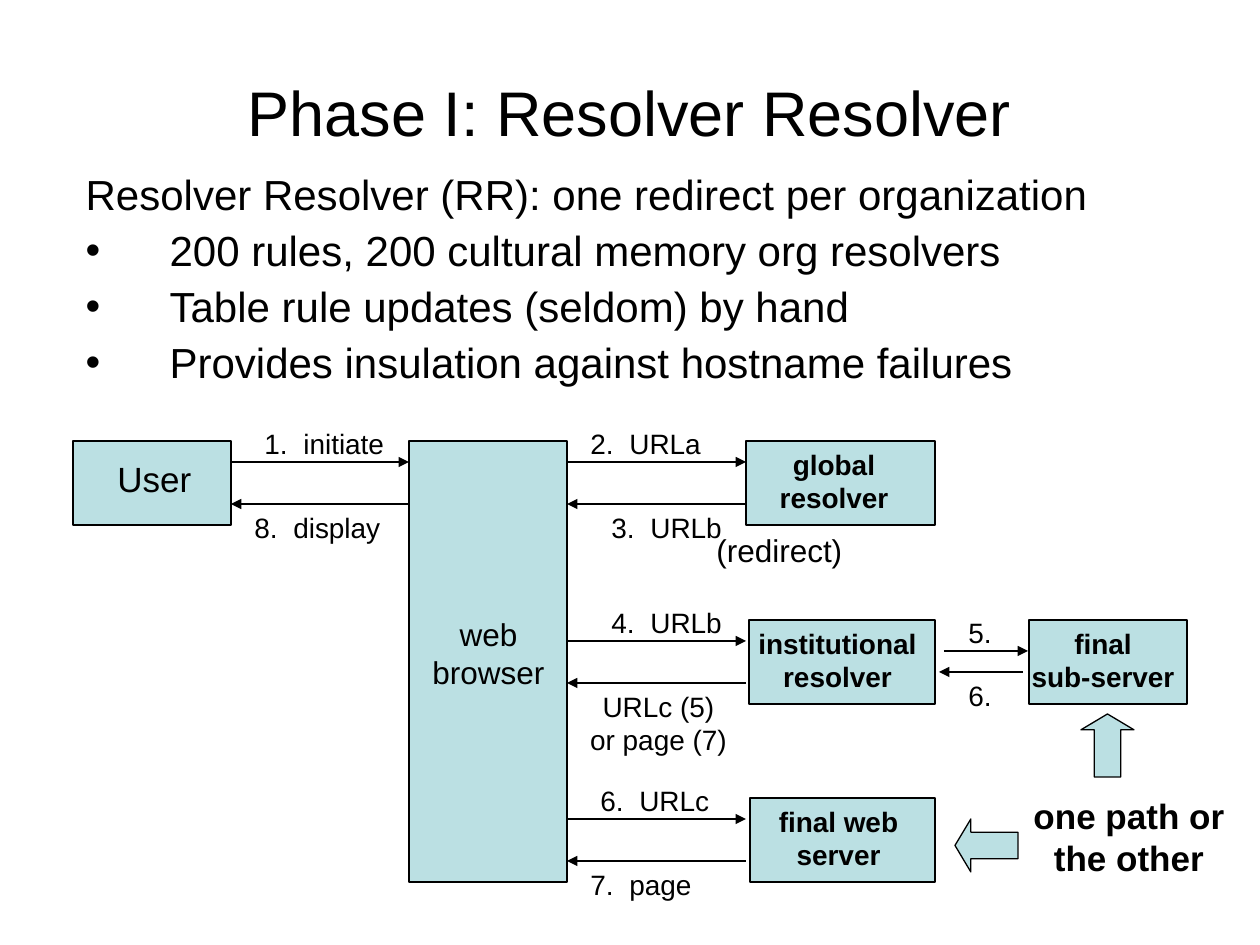
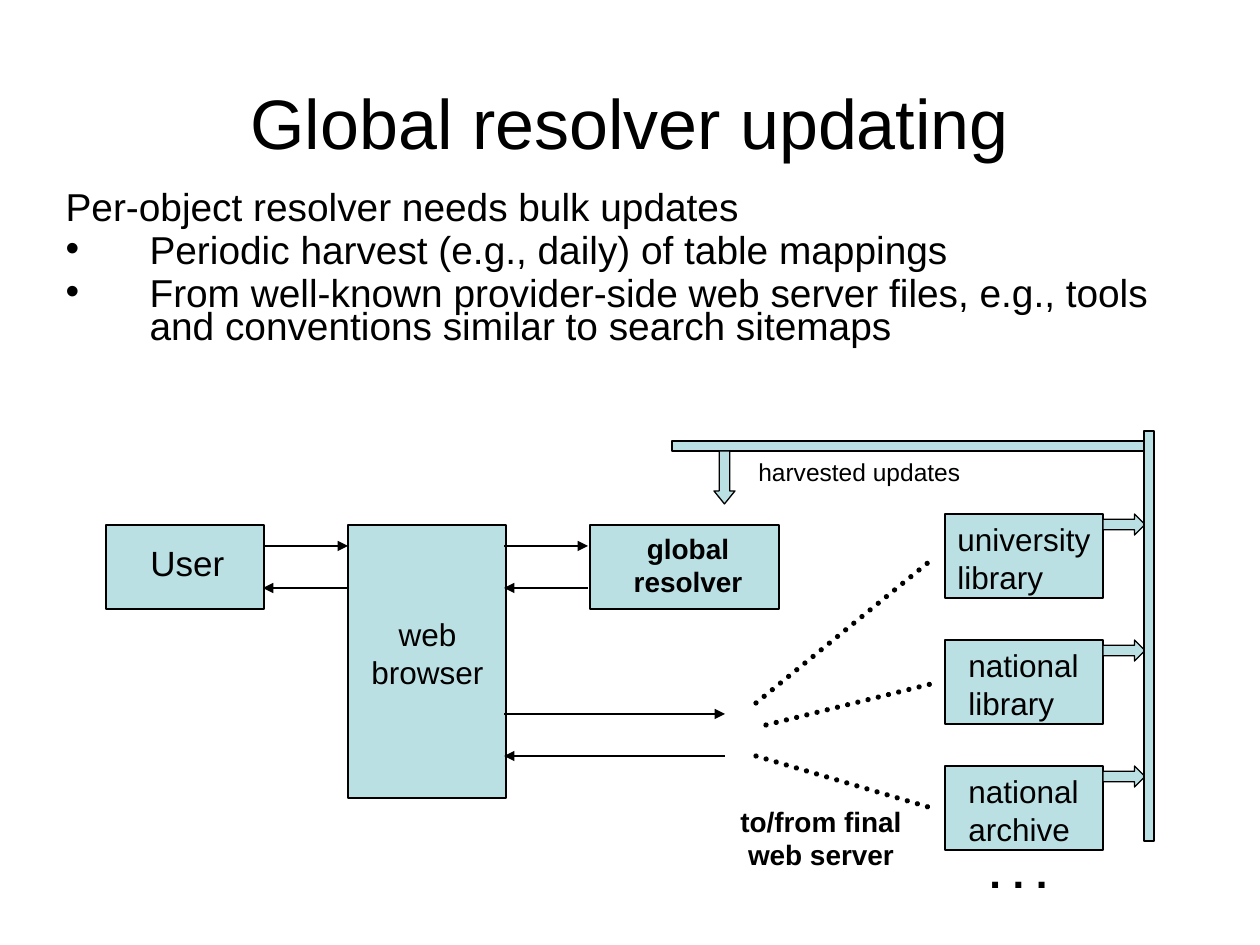
from dataclasses import dataclass
from typing import NamedTuple

from lxml.etree import SubElement
from pptx import Presentation
from pptx.dml.color import RGBColor
from pptx.enum.dml import MSO_LINE
from pptx.enum.shapes import MSO_CONNECTOR, MSO_SHAPE
from pptx.enum.text import MSO_ANCHOR, MSO_AUTO_SIZE, PP_ALIGN
from pptx.oxml.ns import qn
from pptx.util import Emu, Pt


@dataclass(frozen=True)
class Theme:
    font: str = "Arial"
    ink: RGBColor = RGBColor(0x00, 0x00, 0x00)
    fill: RGBColor = RGBColor(0xBB, 0xE0, 0xE3)
    small: float = 14
    label: float = 16
    name: float = 18
    strong: float = 20
    dots: float = 24
    thin: float = 0.75
    thick: float = 3


class Area(NamedTuple):
    left: int
    top: int
    width: int
    height: int


class Heading(NamedTuple):
    text: str
    area: Area
    size: float


class Listing(NamedTuple):
    lines: list[str]
    area: Area
    size: float
    spacing: float


class Block(NamedTuple):
    area: Area
    shape: MSO_SHAPE = MSO_SHAPE.RECTANGLE
    head: float | None = None


class Label(NamedTuple):
    text: str
    area: Area
    size: float
    bold: bool = False
    centered: bool = False
    wrap: bool = False


class Line(NamedTuple):
    start: tuple[int, int]
    end: tuple[int, int]
    dotted: bool = False


THEME = Theme()
PX = 914400 / 126
HANGING = 84
NUMBER_WIDTH = 39
ROW_HEIGHT = 47
REPLY_GAP = 42
BOX_HEIGHT = 84


def px(length: int) -> Emu:
    return Emu(round(length * PX))


def place(shape, area: Area) -> None:
    shape.left, shape.top, shape.width, shape.height = map(px, area)


def write(frame, text: str, *, size: float, bold: bool = False, align=PP_ALIGN.LEFT,
          spacing: float | None = None, before: float = 0, bullets: bool = False) -> None:
    frame.auto_size = MSO_AUTO_SIZE.NONE
    for index, line in enumerate(text.split("\n")):
        para = frame.paragraphs[0] if index == 0 else frame.add_paragraph()
        para.alignment = align
        para.space_before = Pt(before if index else 0)
        if spacing:
            para.line_spacing = spacing
        if bullets:
            add_bullet(para, visible=index > 0)
        if "\t" in line:
            tabs = SubElement(para._p.get_or_add_pPr(), qn("a:tabLst"))
            SubElement(tabs, qn("a:tab"), pos=str(px(NUMBER_WIDTH)), algn="l")
        span = para.add_run()
        span.text = line
        span.font.name = THEME.font
        span.font.size = Pt(size)
        span.font.bold = bold
        span.font.color.rgb = THEME.ink


def add_bullet(para, visible: bool) -> None:
    properties = para._p.get_or_add_pPr()
    properties.set("marL", str(px(HANGING)))
    properties.set("indent", str(-px(HANGING)))
    if not visible:
        SubElement(properties, qn("a:buNone"))
        return
    color = SubElement(properties, qn("a:buClr"))
    SubElement(color, qn("a:srgbClr"), val=str(THEME.ink))
    SubElement(properties, qn("a:buFont"), typeface=THEME.font)
    SubElement(properties, qn("a:buChar"), char="•")


def draw_block(page, block: Block) -> None:
    box = page.shapes.add_shape(block.shape, *map(px, block.area))
    box.shadow.inherit = False
    box.fill.solid()
    box.fill.fore_color.rgb = THEME.fill
    box.line.color.rgb = THEME.ink
    box.line.width = Pt(THEME.thin)
    if block.head is not None:
        box.adjustments[0] = 0.5
        box.adjustments[1] = block.head


def draw_label(page, label: Label) -> None:
    box = page.shapes.add_textbox(*map(px, label.area))
    frame = box.text_frame
    frame.word_wrap = label.wrap or not label.centered
    if not label.centered:
        frame.margin_right = 0
    align = PP_ALIGN.CENTER if label.centered else PP_ALIGN.LEFT
    write(frame, label.text, size=label.size, bold=label.bold, align=align)


def draw_line(page, line: Line) -> None:
    connector = page.shapes.add_connector(
        MSO_CONNECTOR.STRAIGHT, *map(px, line.start + line.end))
    connector.line.color.rgb = THEME.ink
    connector.line.width = Pt(THEME.thick if line.dotted else THEME.thin)
    outline = connector.line._get_or_add_ln()
    if line.dotted:
        connector.line.dash_style = MSO_LINE.ROUND_DOT
        outline.set("cap", "rnd")
    else:
        SubElement(outline, qn("a:tailEnd"), type="triangle")
    SubElement(connector._element.spPr, qn("a:effectLst"))


def exchange(left: int, right: int, top: int) -> list[Line]:
    bottom = top + REPLY_GAP
    return [Line((left, top), (right, top)), Line((right, bottom), (left, bottom))]


def step(text: str, left: int, top: int, width: int = 135) -> Label:
    return Label(text, Area(left, top, width, ROW_HEIGHT), THEME.label)


def server(text: str, left: int, top: int, width: int) -> Label:
    return Label(text, Area(left, top, width, 81), THEME.label, bold=True, centered=True)


def user(left: int, top: int) -> tuple[Block, Label]:
    return (Block(Area(left, top, 158, BOX_HEIGHT)),
            Label("User", Area(left + 32, top + 10, 100, 55), THEME.strong))


def browser(left: int, top: int, height: int) -> tuple[Block, Label]:
    return (Block(Area(left, top, 158, height)),
            Label("web\nbrowser", Area(left + 11, 609, 137, 88), THEME.name, centered=True))


def add_page(deck, heading: Heading, listing: Listing, items: list) -> None:
    page = deck.slides.add_slide(deck.slide_layouts[1])
    title, body = page.placeholders
    place(title, heading.area)
    title.text_frame.vertical_anchor = MSO_ANCHOR.MIDDLE
    write(title.text_frame, heading.text, size=heading.size, align=PP_ALIGN.CENTER)
    place(body, listing.area)
    write(body.text_frame, "\n".join(listing.lines), size=listing.size,
          spacing=listing.spacing, before=6, bullets=True)
    painters = {Block: draw_block, Label: draw_label, Line: draw_line}
    for item in items:
        painters[type(item)](page, item)


def add_resolver_page(deck) -> None:
    items = [
        *user(73, 441),
        *browser(409, 441, 441),
        Block(Area(746, 441, 189, BOX_HEIGHT)),
        Block(Area(749, 620, 186, BOX_HEIGHT)),
        Block(Area(750, 798, 185, BOX_HEIGHT)),
        Block(Area(1029, 620, 158, BOX_HEIGHT)),
        server("global\nresolver", 767, 441, 134),
        server("institutional\nresolver", 746, 620, 183),
        server("final web\nserver", 766, 798, 145),
        server("final\nsub-server", 1019, 620, 168),
        step("1.\tinitiate", 252, 420, 145),
        step("2.\tURLa", 578, 420),
        step("3.\tURLb", 599, 504),
        step("4.\tURLb", 599, 599),
        step("5.", 956, 609, 48),
        step("6.", 956, 672, 48),
        step("6.\tURLc", 588, 777),
        step("7.\tpage", 578, 861, 126),
        step("8.\tdisplay", 242, 504, 151),
        Label("(redirect)", Area(704, 525, 151, 50), THEME.name),
        Label("URLc (5)\nor page (7)", Area(515, 683, 287, 81), THEME.label, centered=True),
        Label("one path or the other", Area(998, 788, 262, 97), THEME.strong,
              bold=True, centered=True, wrap=True),
        *exchange(231, 409, 462),
        *(line for top in (462, 641, 819) for line in exchange(567, 746, top)),
        Line((944, 651), (1028, 651)),
        Line((1023, 672), (939, 672)),
        Block(Area(1081, 714, 53, 63), MSO_SHAPE.UP_ARROW, 0.3),
        Block(Area(955, 819, 63, 53), MSO_SHAPE.LEFT_ARROW, 0.3),
    ]
    lines = [
        "Resolver Resolver (RR): one redirect per organization",
        "200 rules, 200 cultural memory org resolvers",
        "Table rule updates (seldom) by hand",
        "Provides insulation against hostname failures",
    ]
    add_page(deck, Heading("Phase I: Resolver Resolver", Area(94, 32, 1071, 158), 36),
             Listing(lines, Area(73, 168, 1071, 231), 24, 0.9), items)


def add_updating_page(deck) -> None:
    items = [
        *user(106, 525),
        *browser(348, 525, 273),
        Block(Area(590, 525, 189, BOX_HEIGHT)),
        server("global\nresolver", 621, 525, 134),
        server("to/from final\nweb server", 728, 798, 186),
        *exchange(263, 348, 546),
        *exchange(504, 588, 546),
        *exchange(504, 725, 714),
    ]
    providers = [("university\nlibrary", 945), ("national\nlibrary", 956),
                 ("national\narchive", 956)]
    for row, (text, left) in enumerate(providers):
        top = 514 + 126 * row
        items += [
            Block(Area(945, top, 158, BOX_HEIGHT)),
            Label(text, Area(left, top, 158, 88), THEME.name),
            Block(Area(1103, top, 42, 21), MSO_SHAPE.RIGHT_ARROW, 0.5),
        ]
    items += [
        Block(Area(1144, 431, 10, 410)),
        Block(Area(672, 441, 472, 10)),
        Block(Area(714, 451, 21, 53), MSO_SHAPE.DOWN_ARROW, 0.62),
        Label("harvested updates", Area(746, 451, 242, 43), THEME.small),
        Label(". . .", Area(977, 840, 84, 63), THEME.dots, bold=True),
        Line((756, 703), (935, 557), dotted=True),
        Line((766, 725), (935, 683), dotted=True),
        Line((756, 756), (935, 809), dotted=True),
    ]
    lines = [
        "Per-object resolver needs bulk updates",
        "Periodic harvest (e.g., daily) of table mappings",
        "From well-known provider-side web server files, e.g., tools "
        "and conventions similar to search sitemaps",
    ]
    add_page(deck, Heading("Global resolver updating", Area(94, 42, 1071, 158), 40),
             Listing(lines, Area(53, 189, 1134, 179), 22.2, 0.7), items)


def main() -> None:
    deck = Presentation()
    deck.slide_width, deck.slide_height = px(1260), px(945)
    add_resolver_page(deck)
    add_updating_page(deck)
    deck.save("out.pptx")


if __name__ == "__main__":
    main()
